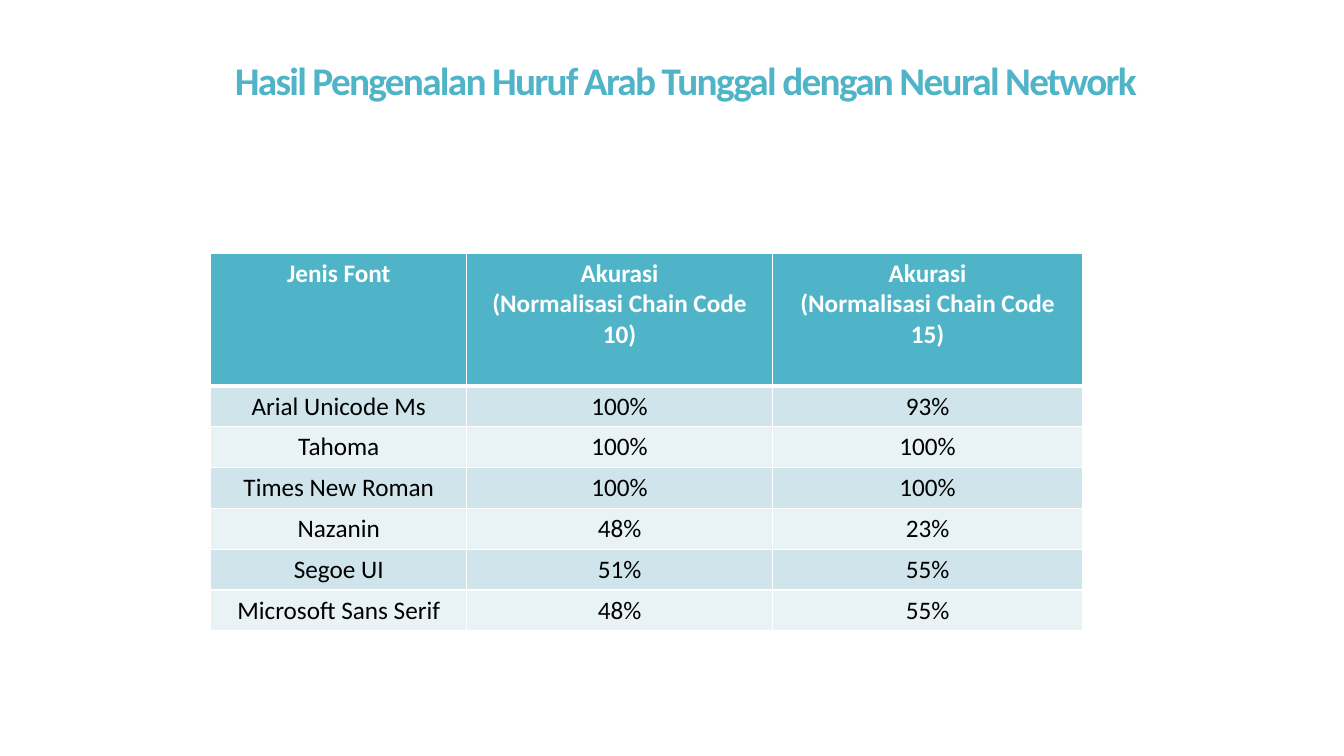
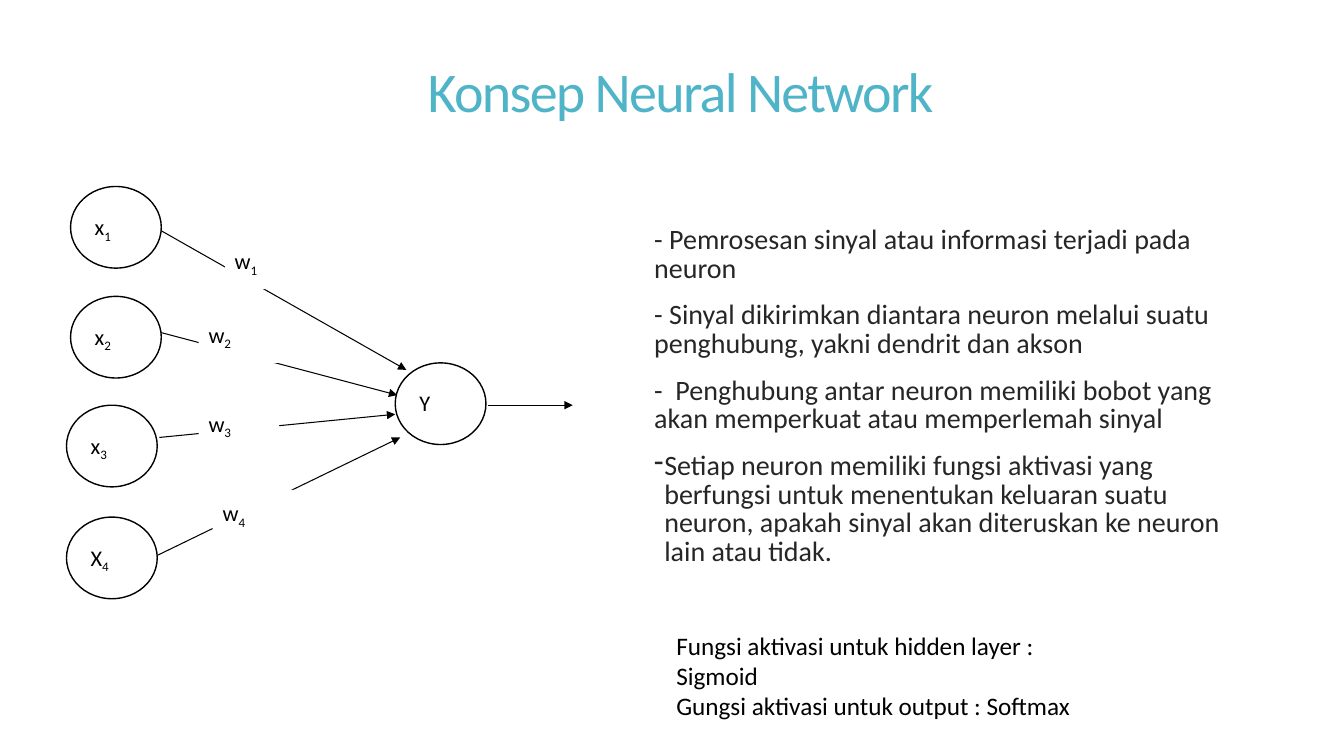
from dataclasses import dataclass
from lxml.etree import SubElement
from pptx import Presentation
from pptx.dml.color import RGBColor
from pptx.enum.shapes import MSO_CONNECTOR as CONN, MSO_SHAPE as SHAPE
from pptx.enum.text import MSO_ANCHOR as ANCHOR, PP_ALIGN as ALIGN
from pptx.oxml import parse_xml
from pptx.oxml.ns import nsdecls, qn
from pptx.util import Inches, Pt


@dataclass(frozen=True)
class Theme:
    """Colours, font and type sizes of both slides."""
    accent: str = "50B4C8"
    band_dark: str = "D0E5EB"
    band_light: str = "E9F2F5"
    body: str = "262626"
    black: str = "000000"
    white: str = "FFFFFF"
    font: str = "Calibri"
    title_size: int = 40
    long_title_size: int = 28
    body_size: int = 20
    table_size: int = 18
    label_size: int = 16


T = Theme()
CENTRED = {"alignment": ALIGN.CENTER}
LABEL = {"line_spacing": 1.15, "space_after": Pt(10)}
BODY = {"line_spacing": 0.85, "space_before": Pt(13)}


def inches(*values):
    """Turn numbers into lengths."""
    return [Inches(v) for v in values]


def set_all(obj, values):
    """Set each attribute in a dict on an object."""
    for name, value in values.items():
        setattr(obj, name, value)


def add_run(p, text, size, color, bold=False, **attrs):
    """Add a formatted run; attrs go on its run properties."""
    r = p.add_run()
    r.text = text
    set_all(r.font, {"name": T.font, "size": Pt(size), "bold": bold})
    r.font.color.rgb = RGBColor.from_string(color)
    for name, value in attrs.items():
        r.font._element.set(name, value)


def fill_text(tf, lines, size, color, layout, **attrs):
    """Write one paragraph for each line and return the last."""
    tf.word_wrap = True
    for i, line in enumerate(lines):
        p = tf.add_paragraph() if i else tf.paragraphs[0]
        set_all(p, layout)
        add_run(p, line, size, color, **attrs)
    return p


def add_title(s, box, text, size, bold=False, margin_left=0.1):
    """Place a centred accent title in its box."""
    tf = s.shapes.add_textbox(*inches(*box)).text_frame
    set_all(tf, {"vertical_anchor": ANCHOR.MIDDLE,
                 "margin_left": Inches(margin_left)})
    fill_text(tf, [text], size, T.accent, {**CENTRED, "line_spacing": 0.85},
              bold=bold, spc="-120")


def add_borders(cell, bottom):
    """Give a cell white rules, with its own bottom width."""
    tc_pr = cell._tc.get_or_add_tcPr()
    for i, (side, width) in enumerate(zip("LRTB", (1, 1, 1, bottom))):
        tc_pr.insert(i, parse_xml(
            f'<a:ln{side} {nsdecls("a")} w="{Pt(width)}"><a:solidFill>'
            f'<a:srgbClr val="{T.white}"/></a:solidFill></a:ln{side}>'))


def add_accuracy_table(s, box, rows, col_widths, head_height):
    """Place a banded table with a tall header row."""
    shape = s.shapes.add_table(len(rows), len(col_widths), *inches(*box))
    table = shape.table
    for col, width in zip(table.columns, col_widths):
        col.width = Inches(width)
    row_height = (box[3] - head_height) / (len(rows) - 1)
    for i, row in enumerate(rows):
        head = i == 0
        table.rows[i].height = Inches(head_height if head else row_height)
        band = T.accent if head else (T.band_light, T.band_dark)[i % 2]
        for j, text in enumerate(row):
            cell = table.cell(i, j)
            cell.fill.solid()
            cell.fill.fore_color.rgb = RGBColor.from_string(band)
            add_borders(cell, 3 if head else 1)
            fill_text(cell.text_frame, text.split("\n"), T.table_size,
                      T.white if head else T.black, CENTRED, bold=head)


def add_plain_shape(s, kind, box, outline=False):
    """Add a white shape with an optional black outline."""
    sp = s.shapes.add_shape(kind, *inches(*box))
    sp.shadow.inherit = False
    sp.fill.solid()
    sp.fill.fore_color.rgb = RGBColor.from_string(T.white)
    if outline:
        sp.line.color.rgb = RGBColor.from_string(T.black)
        sp.line.width = Pt(1)
    else:
        sp.line.fill.background()
    return sp


def add_label(s, box, text, sub=""):
    """Add a white label with an optional subscript."""
    tf = add_plain_shape(s, SHAPE.RECTANGLE, box).text_frame
    tf.vertical_anchor = ANCHOR.TOP
    p = fill_text(tf, [text], T.label_size, T.black,
                  {**LABEL, "alignment": ALIGN.LEFT})
    if sub:
        add_run(p, sub, T.label_size, T.black, baseline="-25000")


def add_neuron(s, x, y, text, sub=""):
    """Add a neuron circle and its name."""
    add_plain_shape(s, SHAPE.OVAL, (x, y, 0.9, 0.81), outline=True)
    add_label(s, (x + 0.14, y + 0.17, 0.61, 0.49), text, sub)


def add_arrow(s, x1, y1, x2, y2):
    """Add a thin black arrow."""
    line = s.shapes.add_connector(CONN.STRAIGHT, *inches(x1, y1, x2, y2))
    line.line.color.rgb = RGBColor.from_string(T.black)
    line.line.width = Pt(0.75)
    SubElement(line.line._get_or_add_ln(), qn("a:tailEnd"), type="triangle")
    SubElement(line._element.spPr, qn("a:effectLst"))


def add_network(s, left, top):
    """Draw four weighted inputs that feed one output neuron."""
    inputs = [  # name, neuron, arrow start, arrow end, weight
        ("x", (0.04, 0), (0.94, 0.44), (3.37, 1.82), (1.57, 0.51)),
        ("x", (0.04, 1.09), (0.94, 1.45), (3.28, 2.07), (1.31, 1.24)),
        ("x", (0, 2.17), (0.92, 2.49), (3.26, 2.26), (1.31, 2.12)),
        ("X", (0, 3.28), (0.9, 3.66), (3.31, 2.49), (1.45, 3.01)),
    ]

    def at(point):
        return left + point[0], top + point[1]

    add_neuron(s, *at((3.26, 1.75)), "Y")
    add_arrow(s, *at((4.18, 2.17)), *at((5.02, 2.17)))
    for i, (name, neuron, start, end, weight) in enumerate(inputs, 1):
        add_neuron(s, *at(neuron), name, str(i))
        add_arrow(s, *at(start), *at(end))
        add_label(s, (*at(weight), 0.8, 0.51), "w", str(i))


def add_text(s, box, lines, size, color, layout):
    """Place a text block and return its last paragraph."""
    tf = s.shapes.add_textbox(*inches(*box)).text_frame
    return fill_text(tf, lines, size, color, layout)


def add_dash_bullet(p, indent):
    """Give a paragraph a hanging dash."""
    p_pr = p._p.get_or_add_pPr()
    p_pr.set("marL", str(Inches(indent)))
    p_pr.set("indent", str(-Inches(indent)))
    SubElement(p_pr, qn("a:buChar"), char="-")


def build_results(s):
    """Build the slide of recognition results."""
    add_title(s, (0.68, 0.55, 11.24, 0.56),
              "Hasil Pengenalan Huruf Arab Tunggal dengan Neural Network",
              T.long_title_size, bold=True, margin_left=1.1)
    rows = [
        ("Jenis Font", "Akurasi\n(Normalisasi Chain Code 10)",
         "Akurasi\n(Normalisasi Chain Code 15)"),
        ("Arial Unicode Ms", "100%", "93%"),
        ("Tahoma", "100%", "100%"),
        ("Times New Roman", "100%", "100%"),
        ("Nazanin", "48%", "23%"),
        ("Segoe UI", "51%", "55%"),
        ("Microsoft Sans Serif", "48%", "55%"),
    ]
    add_accuracy_table(s, (2.09, 2.51, 8.65, 3.75), rows,
                       (2.54, 3.03, 3.08), head_height=1.32)


def build_concept(s):
    """Build the slide that explains a neural network."""
    add_title(s, (0.86, 0.04, 11.78, 1.81), "Konsep Neural Network",
              T.title_size)
    last = add_text(s, (6.39, 2.2, 6.11, 3.73), [
        "- Pemrosesan sinyal atau informasi terjadi pada neuron",
        "- Sinyal dikirimkan diantara neuron melalui suatu penghubung, "
        "yakni dendrit dan akson",
        "-  Penghubung antar neuron memiliki bobot yang akan memperkuat "
        "atau memperlemah sinyal",
        "Setiap neuron memiliki fungsi aktivasi yang berfungsi untuk "
        "menentukan keluaran suatu neuron, apakah sinyal akan diteruskan "
        "ke neuron lain atau tidak.",
    ], T.body_size, T.body, BODY)
    add_dash_bullet(last, 0.1)
    add_network(s, 0.66, 1.85)
    add_text(s, (6.61, 6.2, 4.5, 0.71), [
        "Fungsi aktivasi untuk hidden layer : Sigmoid",
        "Gungsi aktivasi untuk output : Softmax",
    ], T.table_size, T.black, {})


prs = Presentation()
set_all(prs, {"slide_width": Inches(13.33), "slide_height": Inches(7.5)})
for build in (build_results, build_concept):
    build(prs.slides.add_slide(prs.slide_layouts[6]))
prs.save("out.pptx")
